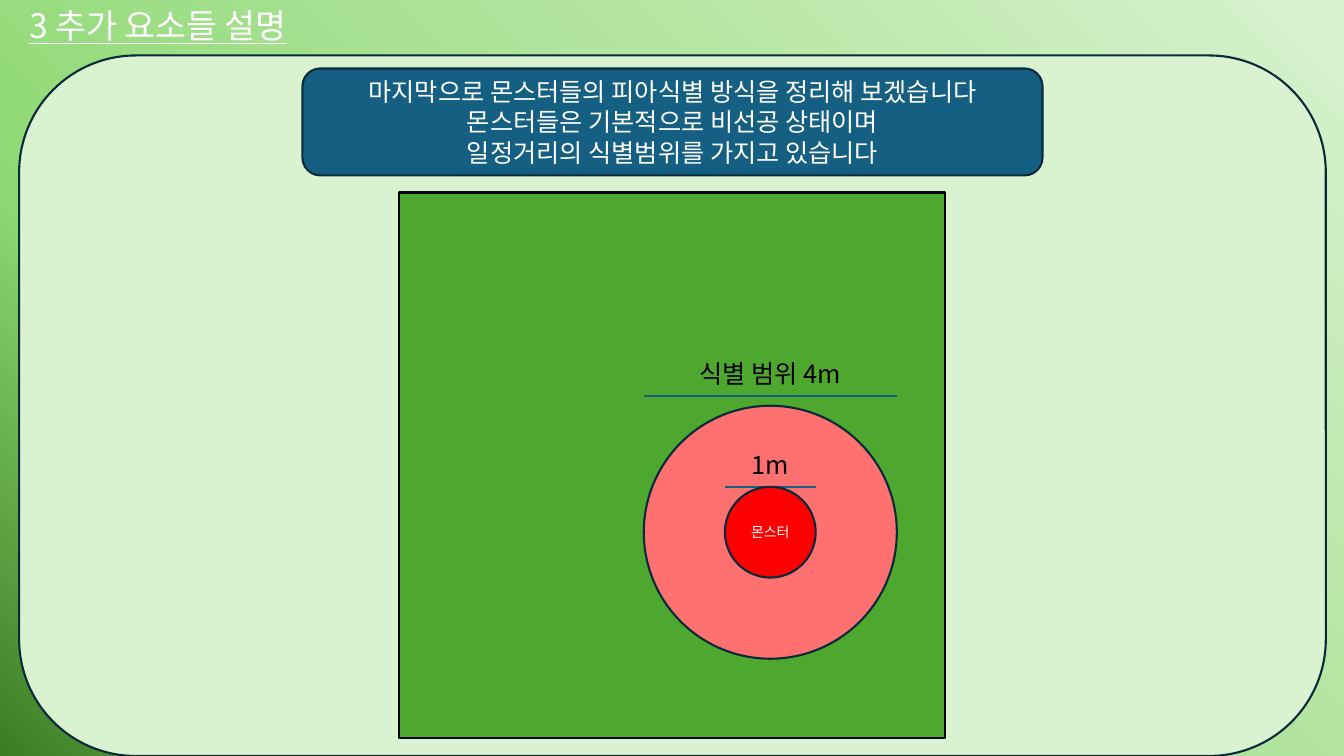
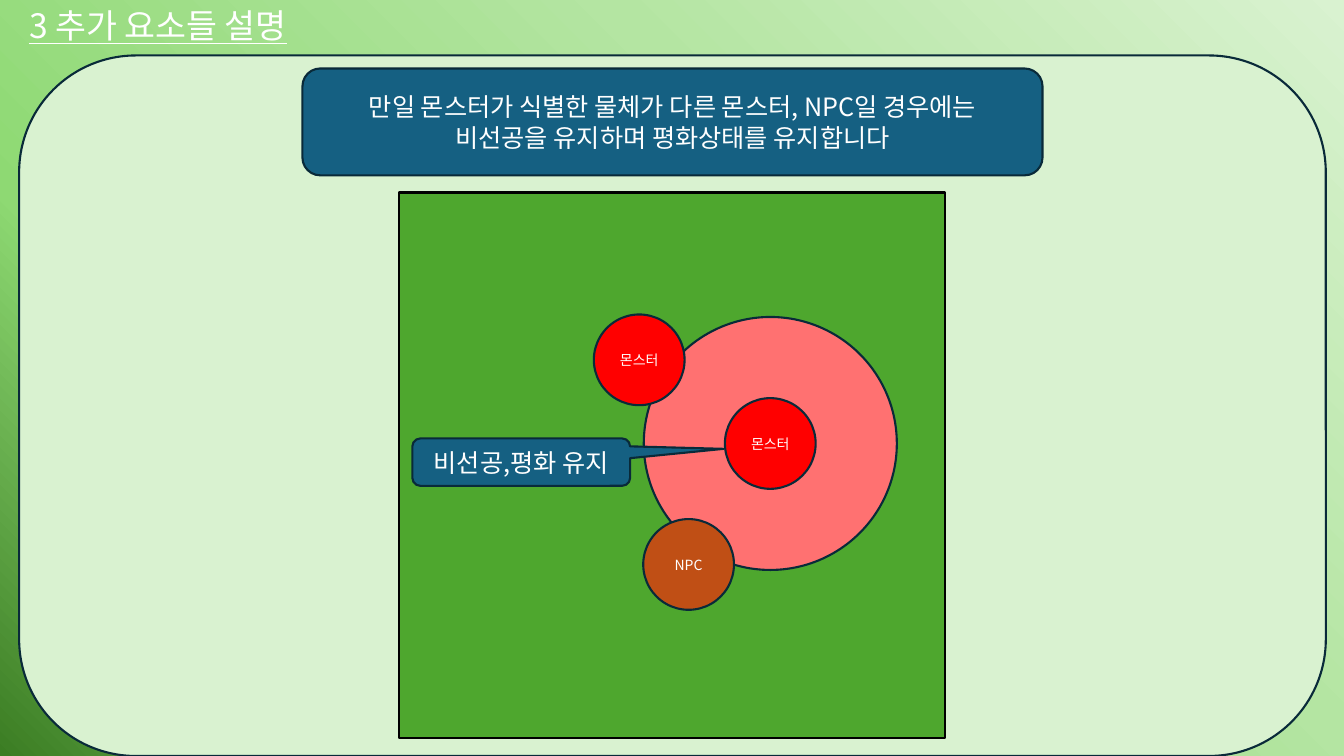
from lxml.etree import SubElement
from pptx import Presentation
from pptx.dml.color import RGBColor
from pptx.enum.shapes import MSO_CONNECTOR, MSO_SHAPE as Kind
from pptx.enum.text import MSO_ANCHOR, MSO_AUTO_SIZE, PP_ALIGN as Align
from pptx.oxml.ns import qn
from pptx.util import Inches, Pt

WIDE, HIGH = 13.33, 7.5
FONT = "Noto Sans CJK KR"
WHITE, BLACK, INK, BLUE = "FFFFFF", "000000", "092A39", "156082"
PALE, GRASS, PINK, RED, RUST = "D9F2D0", "4EA72E", "FF7171", "FF0000", "C04F15"
STOPS = [(0, "3B7D23"), (27, "8ED973"), (65, "B4E5A2"), (100, PALE)]

TITLE = "3 추가 요소들 설명"
RANGE, BODY = 2.51, 0.9  # diameters of the sight range and of a creature
MID = 7.64  # centre of the watching monster, from the left

SLIDES = [
    {
        "head": "마지막으로 몬스터들의 피아식별 방식을 정리해 보겠습니다\n"
                "몬스터들은 기본적으로 비선공 상태이며\n"
                "일정거리의 식별범위를 가지고 있습니다",
        "eye": 5.28,
        "spans": [("식별 범위 4m", RANGE, 3.93, 1.82), ("1m", BODY, 4.83, 0.64)],
    },
    {
        "head": "만일 몬스터가 식별한 물체가 다른 몬스터, NPC일 경우에는\n"
                "비선공을 유지하며 평화상태를 유지합니다",
        "eye": 4.4,
        "others": [("NPC", 6.83, 5.6, RUST), ("몬스터", 6.34, 3.57, RED)],
        "note": "비선공,평화 유지",
    },
]


def rgb(code):
    return RGBColor.from_string(code)


def write(shape, text, size, color=WHITE, align=Align.CENTER, under=None):
    frame = shape.text_frame
    frame.word_wrap = True
    frame.text = text
    for para in frame.paragraphs:
        para.alignment = align
        for run in para.runs:
            font = run.font
            font.name, font.size, font.underline = FONT, Pt(size), under
            font.color.rgb = rgb(color)
            SubElement(run._r.get_or_add_rPr(), qn("a:ea"), typeface=FONT)


def draw(slide, kind, box, fill, line=INK, text="", size=18):
    shape = slide.shapes.add_shape(kind, *map(Inches, box))
    shape.shadow.inherit = False
    shape.fill.solid()
    shape.fill.fore_color.rgb = rgb(fill)
    shape.line.color.rgb = rgb(line)
    shape.line.width = Pt(1.5)
    shape.text_frame.vertical_anchor = MSO_ANCHOR.MIDDLE
    if text:
        write(shape, text, size)
    return shape


def disc(slide, x, y, size, fill, text=""):
    """Draw a circle around the centre x, y."""
    box = (x - size / 2, y - size / 2, size, size)
    draw(slide, Kind.OVAL, box, fill, text=text, size=10)


def label(slide, box, text, size, **style):
    shape = slide.shapes.add_textbox(*map(Inches, box))
    write(shape, text, size, **style)
    shape.text_frame.auto_size = MSO_AUTO_SIZE.SHAPE_TO_FIT_TEXT


def span(slide, size, y):
    """Draw a level line of the given length, centred on the monster."""
    ends = (MID + size / 2, y, MID - size / 2, y)
    line = slide.shapes.add_connector(MSO_CONNECTOR.STRAIGHT, *map(Inches, ends))
    line.line.color.rgb = rgb(BLUE)
    line.line.width = Pt(1.5)
    SubElement(line._element.spPr, qn("a:effectLst"))


def backdrop(master):
    fill = master.background.fill
    fill.gradient()
    fill.gradient_angle = 45
    stops = next(master.element.iter(qn("a:gsLst")))
    for stop in list(stops):
        stops.remove(stop)
    for share, color in STOPS:
        stop = SubElement(stops, qn("a:gs"), pos=str(share * 1000))
        SubElement(stop, qn("a:srgbClr"), val=color)


def frame(slide, head):
    """Draw the parts that all slides share."""
    draw(slide, Kind.ROUNDED_RECTANGLE, (0.19, 0.55, 12.96, 6.95), PALE)
    draw(slide, Kind.ROUNDED_RECTANGLE, (3, 0.68, 7.34, 1.06), BLUE, text=head)
    label(slide, (0.19, 0, 5.71, 0.5), TITLE, 24, align=Align.LEFT, under=True)
    draw(slide, Kind.RECTANGLE, (3.96, 1.91, 5.41, 5.41), GRASS, BLACK)


def build(slide, data):
    frame(slide, data["head"])
    disc(slide, MID, data["eye"], RANGE, PINK)
    spans = data.get("spans", [])
    for _, size, y, _ in spans:
        span(slide, size, y)
    disc(slide, MID, data["eye"], BODY, RED, "몬스터")
    for text, _, y, wide in spans:
        label(slide, (MID - wide / 2, y - 0.42, wide, 0.4), text, 18, color=BLACK)
    for text, x, y, fill in data.get("others", []):
        disc(slide, x, y, BODY, fill, text)
    if "note" in data:
        note = draw(slide, Kind.ROUNDED_RECTANGULAR_CALLOUT,
                    (4.09, 4.35, 2.16, 0.47), BLUE, text=data["note"])
        note.adjustments[0], note.adjustments[1] = 0.93, -0.28


def main():
    deck = Presentation()
    deck.slide_width, deck.slide_height = Inches(WIDE), Inches(HIGH)
    backdrop(deck.slide_master)
    for data in SLIDES:
        build(deck.slides.add_slide(deck.slide_layouts[6]), data)
    deck.save("out.pptx")


if __name__ == "__main__":
    main()
